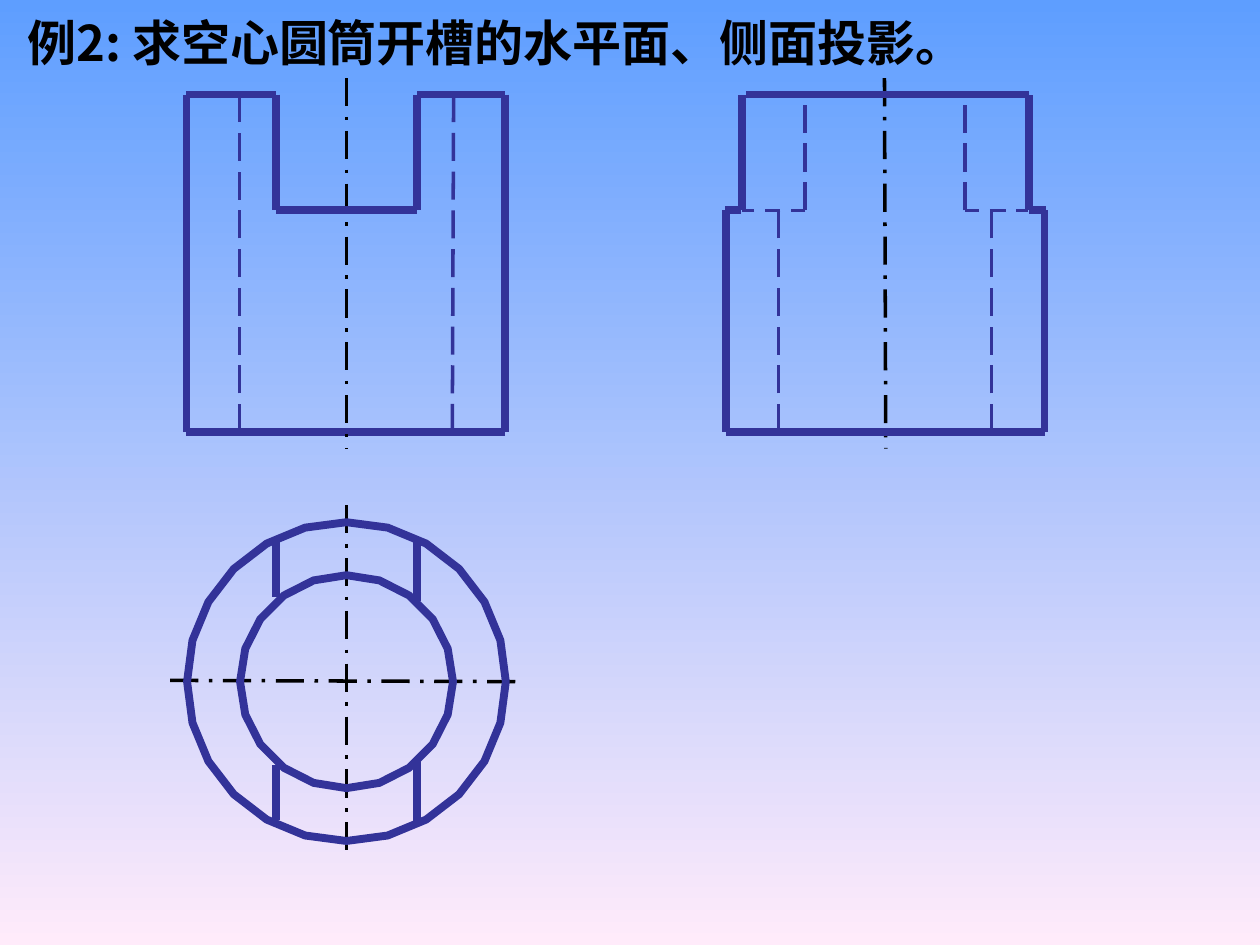
import math

import pptx
import pptx.dml.color
import pptx.enum.dml
import pptx.enum.shapes
import pptx.enum.text
import pptx.oxml
import pptx.oxml.ns
import pptx.util

Inches = pptx.util.Inches
Pt = pptx.util.Pt
Dash = pptx.enum.dml.MSO_LINE

COLORS = {"sky": "5E9EFF", "blush": "FFEBFA", "edge": "333399", "ink": "000000"}
LINES = {
    "outline": ("edge", {"width": Pt(4.5)}),
    "hidden": ("edge", {"width": Pt(0), "dash_style": Dash.LONG_DASH}),
    "hidden_floor": ("edge", {"width": Pt(0), "dash_style": Dash.DASH}),
    "axis": ("ink", {"width": Pt(0), "dash_style": Dash.LONG_DASH_DOT}),
    "base": ("ink", {"width": Pt(0)}),
}
TITLE_FONT = {"name": "Noto Sans CJK SC", "size": Pt(28), "bold": True}
TITLE_FRAME = {
    "word_wrap": True,
    "auto_size": pptx.enum.text.MSO_AUTO_SIZE.SHAPE_TO_FIT_TEXT,
    "margin_left": Inches(0.1),
    "margin_right": Inches(0.1),
    "margin_top": Inches(0.05),
    "margin_bottom": Inches(0.05),
}

# Heights shared by the front and side views
TOP, SLOT, BOTTOM = 0.75, 1.67, 3.43
# Front and top views share their x positions
LEFT, SLOT_LEFT, CENTER, SLOT_RIGHT, RIGHT = 1.48, 2.19, 2.75, 3.31, 4.01
BORE_LEFT, BORE_RIGHT = 1.9, 3.59
# Side view
SIDE_LEFT, SIDE_RIGHT = 5.76, 8.29
NECK_LEFT, NECK_RIGHT = 5.89, 8.17
SIDE_BORE_LEFT, SIDE_BORE_RIGHT = 6.18, 7.87
NECK_BORE_LEFT, NECK_BORE_RIGHT = 6.39, 7.66
# Top view
RING_Y, OUTER_RADIUS, BORE_RADIUS = 5.41, 1.265, 0.845


def rgb(name):
    return pptx.dml.color.RGBColor.from_string(COLORS[name])


def apply(target, values):
    for attribute, value in values.items():
        setattr(target, attribute, value)


class Drawing:
    """Holds the slide and the line styles of a technical drawing."""

    def __init__(self, slide, line_styles):
        self.slide = slide
        self.line_styles = line_styles

    def background(self, *color_names):
        fill = self.slide.background.fill
        fill.gradient()
        fill.gradient_angle = 270
        for position, (stop, name) in enumerate(zip(fill.gradient_stops, color_names)):
            stop.color.rgb = rgb(name)
            stop.position = position

    def title(self, text, left, top, width, height):
        box = self.slide.shapes.add_textbox(*map(Inches, (left, top, width, height)))
        apply(box.text_frame, TITLE_FRAME)
        run = box.text_frame.paragraphs[0].add_run()
        run.text = text
        apply(run.font, TITLE_FONT)
        run.font.color.rgb = rgb("ink")
        east_asian = pptx.oxml.parse_xml(
            f'<a:ea {pptx.oxml.ns.nsdecls("a")} typeface="{TITLE_FONT["name"]}"/>')
        run.font._element.append(east_asian)

    def stroke(self, line, style):
        color, values = self.line_styles[style]
        line.color.rgb = rgb(color)
        apply(line, values)

    def lines(self, style, *segments):
        """Draw each (x1, y1, x2, y2) segment in one style."""
        for segment in segments:
            connector = self.slide.shapes.add_connector(
                pptx.enum.shapes.MSO_CONNECTOR.STRAIGHT, *map(Inches, segment))
            self.stroke(connector.line, style)
            connector._element.spPr.append(
                pptx.oxml.parse_xml(f'<a:effectLst {pptx.oxml.ns.nsdecls("a")}/>'))

    def ring(self, radius, sides):
        """Draw a circle of the top view as a regular polygon."""
        points = []
        for side in range(sides):
            angle = 2 * math.pi * side / sides
            points.append((Inches(CENTER + radius * math.cos(angle)),
                           Inches(RING_Y - radius * math.sin(angle))))
        builder = self.slide.shapes.build_freeform(*points[0], scale=1.0)
        builder.add_line_segments(points[1:], close=True)
        polygon = builder.convert_to_shape()
        polygon.fill.background()
        polygon.shadow.inherit = False
        self.stroke(polygon.line, "outline")


def main():
    presentation = pptx.Presentation()
    presentation.slide_width, presentation.slide_height = Inches(10), Inches(7.5)
    drawing = Drawing(presentation.slides.add_slide(presentation.slide_layouts[6]), LINES)
    drawing.background("sky", "blush")

    drawing.lines("outline",
                  (LEFT, BOTTOM, LEFT, TOP),
                  (RIGHT, TOP, RIGHT, BOTTOM),
                  (RIGHT, BOTTOM, LEFT, BOTTOM))
    drawing.lines("axis",
                  (CENTER, 0.62, CENTER, 3.56),
                  (CENTER, 4.01, CENTER, 6.8),
                  (1.35, 5.4, 4.14, RING_Y),
                  (7.02, 0.62, 7.03, 3.56))
    drawing.lines("hidden",
                  (BORE_LEFT, BOTTOM, BORE_LEFT, TOP),
                  (BORE_RIGHT, BOTTOM, 3.6, TOP),
                  (SIDE_BORE_LEFT, BOTTOM, SIDE_BORE_LEFT, SLOT),
                  (SIDE_BORE_RIGHT, BOTTOM, SIDE_BORE_RIGHT, SLOT),
                  (NECK_BORE_LEFT, SLOT, NECK_BORE_LEFT, TOP),
                  (NECK_BORE_RIGHT, SLOT, NECK_BORE_RIGHT, TOP))
    drawing.lines("hidden_floor",
                  (NECK_BORE_RIGHT, SLOT, SIDE_BORE_RIGHT, SLOT),
                  (NECK_BORE_LEFT, SLOT, SIDE_BORE_LEFT, SLOT),
                  (SIDE_BORE_RIGHT, SLOT, 8.16, SLOT),
                  (SIDE_BORE_LEFT, SLOT, NECK_LEFT, SLOT))
    drawing.lines("base", (SIDE_RIGHT, BOTTOM, SIDE_LEFT, BOTTOM))

    # Side view outline
    drawing.lines("outline",
                  (SIDE_LEFT, SLOT, SIDE_LEFT, BOTTOM),
                  (SIDE_LEFT, BOTTOM, SIDE_RIGHT, BOTTOM),
                  (SIDE_RIGHT, BOTTOM, SIDE_RIGHT, SLOT),
                  (NECK_RIGHT, SLOT, NECK_RIGHT, TOP),
                  (5.92, TOP, NECK_RIGHT, TOP),
                  (NECK_LEFT, SLOT, NECK_LEFT, TOP),
                  (5.88, SLOT, 5.75, SLOT),
                  (8.3, SLOT, NECK_RIGHT, SLOT))

    drawing.title("例2: 求空心圆筒开槽的水平面、侧面投影。", 0.12, 0.05, 8.03, 0.57)

    # Top view
    drawing.ring(BORE_RADIUS, 20)
    drawing.ring(OUTER_RADIUS, 24)
    drawing.lines("outline",
                  (SLOT_LEFT, 4.3, SLOT_LEFT, 4.74),
                  (SLOT_LEFT, 6.07, SLOT_LEFT, 6.51),
                  (SLOT_RIGHT, 4.27, SLOT_RIGHT, 4.77),
                  (SLOT_RIGHT, 6.04, SLOT_RIGHT, 6.54))

    # Slot in the front view
    drawing.lines("outline",
                  (LEFT, TOP, SLOT_LEFT, TOP),
                  (SLOT_LEFT, TOP, SLOT_LEFT, SLOT),
                  (SLOT_LEFT, SLOT, SLOT_RIGHT, SLOT),
                  (SLOT_RIGHT, TOP, SLOT_RIGHT, SLOT),
                  (SLOT_RIGHT, TOP, RIGHT, TOP))

    presentation.save("out.pptx")


if __name__ == "__main__":
    main()
